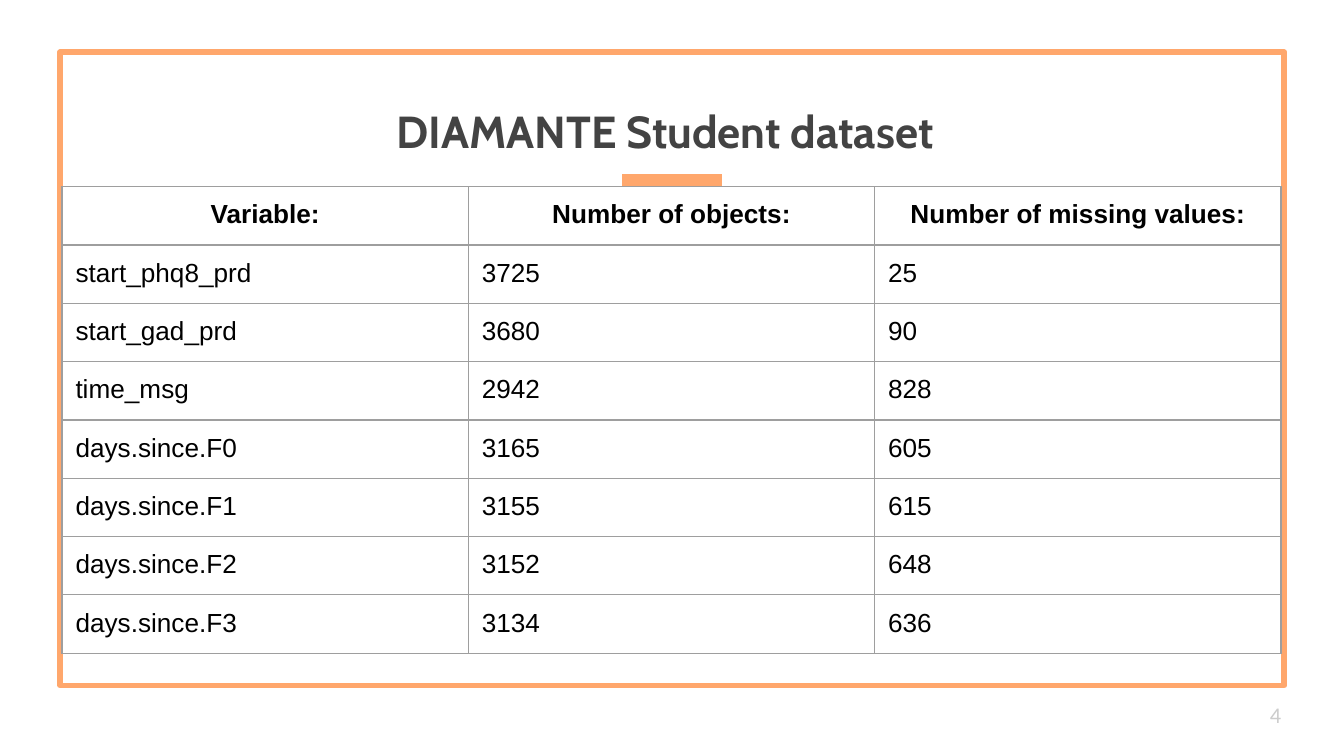
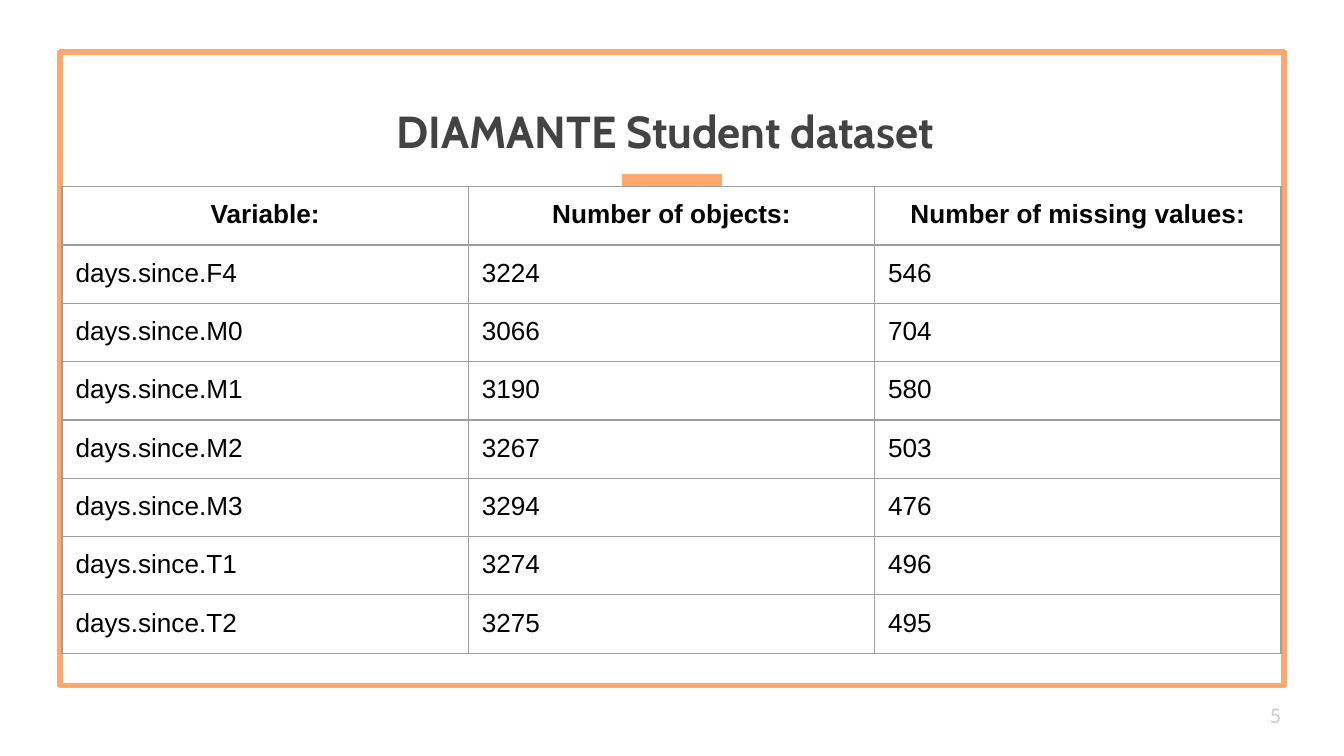
import pptx
import pptx.util
import pptx.dml.color
import pptx.enum.shapes
import pptx.enum.text
import pptx.oxml
import pptx.oxml.ns
import lxml.etree

Pt = pptx.util.Pt
ALIGN = pptx.enum.text.PP_ALIGN
ANCHOR = pptx.enum.text.MSO_ANCHOR

COLORS = {
    "accent": "FFA76C",
    "title": "434343",
    "number": "CCCCCC",
    "text": "000000",
    "border": "9E9E9E",
}
INSET = 7.2
TITLE = "DIAMANTE Student dataset"
HEADERS = ["Variable:", "Number of objects:", "Number of missing values:"]
DATASETS = [
    {
        "number": 4,
        "row_height": 23.76,
        "rows": [
            ("start_phq8_prd", 3725, 25),
            ("start_gad_prd", 3680, 90),
            ("time_msg", 2942, 828),
            ("days.since.F0", 3165, 605),
            ("days.since.F1", 3155, 615),
            ("days.since.F2", 3152, 648),
            ("days.since.F3", 3134, 636),
        ],
    },
    {
        "number": 5,
        "row_height": 31.2,
        "rows": [
            ("days.since.F4", 3224, 546),
            ("days.since.M0", 3066, 704),
            ("days.since.M1", 3190, 580),
            ("days.since.M2", 3267, 503),
            ("days.since.M3", 3294, 476),
            ("days.since.T1", 3274, 496),
            ("days.since.T2", 3275, 495),
        ],
    },
]


def color(name):
    return pptx.dml.color.RGBColor.from_string(COLORS[name])


def write(frame, text, font="Arial", size=14, ink="text", bold=False, align=ALIGN.LEFT):
    paragraph = frame.paragraphs[0]
    paragraph.alignment = align
    run = paragraph.add_run()
    run.text = str(text)
    run.font.name = font
    run.font.size = Pt(size)
    run.font.bold = bold
    run.font.color.rgb = color(ink)


class DatasetDeck:
    def __init__(self):
        self.presentation = pptx.Presentation()
        self.presentation.slide_width = Pt(720)
        self.presentation.slide_height = Pt(405)
        self.slide = None

    def add_slide(self):
        self.slide = self.presentation.slides.add_slide(self.presentation.slide_layouts[6])

    def frame(self, left, top, width, height):
        shape = self.slide.shapes.add_shape(
            pptx.enum.shapes.MSO_SHAPE.RECTANGLE, Pt(left), Pt(top), Pt(width), Pt(height)
        )
        shape.shadow.inherit = False
        shape.fill.background()
        shape.line.color.rgb = color("accent")
        shape.line.width = Pt(3)
        lxml.etree.SubElement(shape.line._get_or_add_ln(), pptx.oxml.ns.qn("a:round"))

    def rule(self, left, right, top):
        connector = self.slide.shapes.add_connector(
            pptx.enum.shapes.MSO_CONNECTOR.STRAIGHT, Pt(left), Pt(top), Pt(right), Pt(top)
        )
        connector.line.color.rgb = color("accent")
        connector.line.width = Pt(6)
        lxml.etree.SubElement(connector._element.spPr, pptx.oxml.ns.qn("a:effectLst"))

    def text(self, text, left, top, width, height, anchor, **style):
        frame = self.slide.shapes.add_textbox(Pt(left), Pt(top), Pt(width), Pt(height)).text_frame
        frame.word_wrap = True
        frame.vertical_anchor = anchor
        frame.margin_left = frame.margin_right = Pt(INSET)
        frame.margin_top = frame.margin_bottom = Pt(INSET)
        write(frame, text, **style)

    def border(self, cell):
        properties = cell._tc.get_or_add_tcPr()
        for index, side in enumerate(("lnL", "lnR", "lnT", "lnB")):
            line = pptx.oxml.parse_xml(
                f'<a:{side} {pptx.oxml.ns.nsdecls("a")} w="{Pt(0.75)}"><a:solidFill>'
                f'<a:srgbClr val="{COLORS["border"]}"/></a:solidFill></a:{side}>'
            )
            properties.insert(index, line)

    def table(self, rows, left, top, column_width, row_height):
        columns = len(rows[0])
        table = self.slide.shapes.add_table(
            len(rows), columns, Pt(left), Pt(top),
            Pt(column_width * columns), Pt(row_height * len(rows)),
        ).table
        table.first_row = False
        table.horz_banding = False
        for column in table.columns:
            column.width = Pt(column_width)
        for row_index, values in enumerate(rows):
            table.rows[row_index].height = Pt(row_height)
            header = row_index == 0
            for column_index, value in enumerate(values):
                cell = table.cell(row_index, column_index)
                cell.margin_left = cell.margin_right = Pt(INSET)
                cell.margin_top = cell.margin_bottom = Pt(INSET)
                cell.fill.background()
                self.border(cell)
                write(cell.text_frame, value, bold=header,
                      align=ALIGN.CENTER if header else ALIGN.LEFT)

    def dataset_slide(self, number, row_height, rows):
        self.add_slide()
        self.frame(32.25, 28, 655.75, 339.25)
        self.rule(333.25, 386.75, 96.4)
        self.text(TITLE, -3.75, 19.5, 720, 72, ANCHOR.BOTTOM, font="Cabin", size=24,
                  ink="title", bold=True, align=ALIGN.CENTER)
        self.text(number, 673.2, 367.2, 43.2, 31, ANCHOR.MIDDLE, font="Calibri", size=12,
                  ink="number")
        self.table([HEADERS, *rows], 33.25, 100, 217.7, row_height)


def main():
    deck = DatasetDeck()
    for dataset in DATASETS:
        deck.dataset_slide(**dataset)
    deck.presentation.save("out.pptx")


if __name__ == "__main__":
    main()
